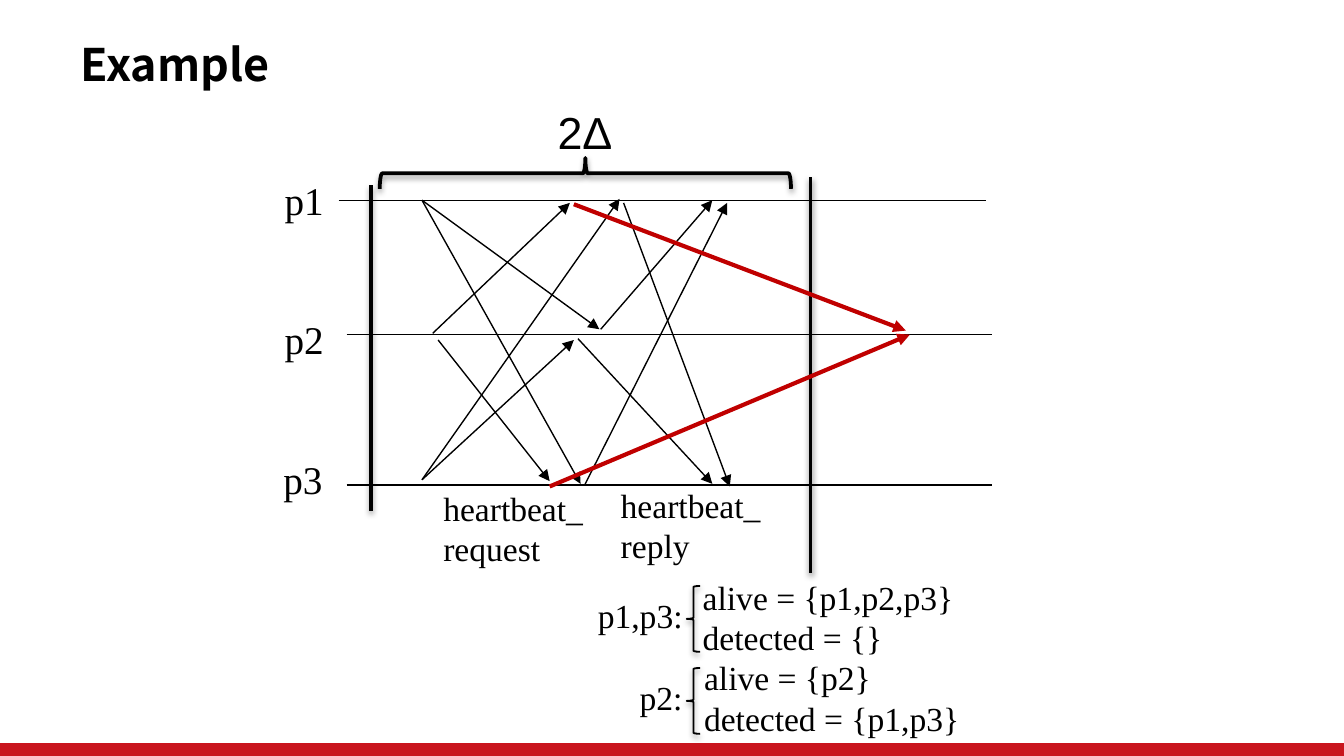
from lxml.etree import SubElement
from pptx import Presentation
from pptx.dml.color import RGBColor
from pptx.enum.shapes import MSO_CONNECTOR as Connector, MSO_SHAPE as Shape
from pptx.enum.text import MSO_ANCHOR as Anchor, MSO_AUTO_SIZE as AutoSize, PP_ALIGN as Align
from pptx.oxml.ns import qn
from pptx.util import Inches, Pt

COLORS = {"ink": "000000", "late": "C00000", "bar": "C9151E"}
TITLE_FONT, LABEL_FONT, DELTA_FONT = "Noto Sans CJK SC", "Times New Roman", "Arial"


class SlideBuilder:
    """Holds the style and the current slide."""

    def __init__(self, slide):
        self.slide = slide

    def color(self, name):
        return RGBColor.from_string(COLORS[name])

    def style_font(self, paragraph, size, name, bold=False):
        font = paragraph.font
        font.size, font.name, font.bold = Pt(size), name, bold
        font.color.rgb = self.color("ink")

    def effects(self, shape, shadow):
        properties = shape._element.spPr
        effect_list = SubElement(properties, qn("a:effectLst"))
        if shadow:
            outer = SubElement(effect_list, qn("a:outerShdw"), blurRad=str(Pt(3.1)),
                               dist=str(Pt(1.6)), dir="5400000", rotWithShape="0")
            black = SubElement(outer, qn("a:srgbClr"), val=COLORS["ink"])
            SubElement(black, qn("a:alpha"), val="38000")

    def title(self, text, left, top, width, height):
        title = self.slide.shapes.title
        title.left, title.top = Inches(left), Inches(top)
        title.width, title.height = Inches(width), Inches(height)
        frame = title.text_frame
        frame.text = text
        frame.word_wrap = False
        frame.auto_size = AutoSize.NONE
        frame.vertical_anchor = Anchor.MIDDLE
        frame.paragraphs[0].alignment = Align.LEFT
        self.style_font(frame.paragraphs[0], 24, TITLE_FONT, bold=True)

    def bar(self, left, top, width, height):
        bar = self.slide.shapes.add_shape(
            Shape.RECTANGLE, Inches(left), Inches(top), Inches(width), Inches(height))
        bar.shadow.inherit = False
        bar.fill.solid()
        bar.fill.fore_color.rgb = self.color("bar")
        bar.line.fill.background()

    def label(self, text, left, top, width, height, size=18, font=LABEL_FONT):
        box = self.slide.shapes.add_textbox(
            Inches(left), Inches(top), Inches(width), Inches(height))
        frame = box.text_frame
        frame.text = text
        frame.word_wrap = False
        frame.auto_size = AutoSize.SHAPE_TO_FIT_TEXT
        for paragraph in frame.paragraphs:
            self.style_font(paragraph, size, font)

    def line(self, start, end, color="ink", width=0.75, arrow=False, shadow=False):
        line = self.slide.shapes.add_connector(
            Connector.STRAIGHT, *(Inches(value) for value in (*start, *end)))
        line.line.color.rgb = self.color(color)
        line.line.width = Pt(width)
        if arrow:
            SubElement(line.line._get_or_add_ln(), qn("a:tailEnd"), type="triangle")
        self.effects(line, shadow)

    def brace(self, left, top, width, height, line_width, rotation=0):
        brace = self.slide.shapes.add_shape(
            Shape.LEFT_BRACE, Inches(left), Inches(top), Inches(width), Inches(height))
        brace.rotation = rotation
        brace.fill.background()
        brace.line.color.rgb = self.color("ink")
        brace.line.width = Pt(line_width)
        self.effects(brace, shadow=True)


def main():
    prs = Presentation()
    prs.slide_width = Inches(10)
    prs.slide_height = prs.slide_width * 9 // 16
    builder = SlideBuilder(prs.slides.add_slide(prs.slide_layouts[5]))

    # Frame of the slide
    builder.bar(0, 5.53, 10, 0.1)
    builder.title("Example", 0.5, 0.23, 6.96, 0.49)

    # Process timelines
    timelines = [("p1", 2.02, 1.26, 2.52, 7.34, 1.49),
                 ("p2", 2.02, 2.3, 2.58, 7.38, 2.49),
                 ("p3", 2.01, 3.34, 2.58, 7.38, 3.61)]
    for process, left, top, start, end, y in timelines:
        builder.line((start, y), (end, y))
        builder.label(process, left, top, 0.5, 0.45, size=21)

    # Heartbeat requests, then replies
    requests = [((3.14, 1.49), (4.46, 2.45)), ((3.14, 1.49), (4.32, 3.6)),
                ((3.22, 2.48), (4.24, 1.51)), ((3.26, 2.53), (4.09, 3.58)),
                ((3.14, 3.57), (4.27, 2.53)), ((3.14, 3.57), (4.61, 1.48))]
    replies = [((4.64, 1.51), (5.43, 3.62)), ((4.47, 2.45), (5.3, 1.49)),
               ((4.3, 2.52), (5.3, 3.6)), ((4.35, 3.61), (5.41, 1.51))]
    for start, end in requests + replies:
        builder.line(start, end, arrow=True)

    # Timeout window
    builder.label("2Δ", 4.05, 0.73, 0.61, 0.5, size=24, font=DELTA_FONT)
    builder.brace(4.24, -0.24, 0.23, 3.06, 2, rotation=90)
    for x, top, bottom in [(2.76, 1.38, 3.8), (6.03, 1.32, 4.26)]:
        builder.line((x, top), (x, bottom), width=2, shadow=True)

    # Replies that arrive too late
    for start, end in [((4.27, 1.52), (6.74, 2.46)), ((4.09, 3.62), (6.77, 2.49))]:
        builder.line(start, end, color="late", width=2.25, arrow=True)

    # Message names
    builder.label("heartbeat_\nrequest", 3.2, 3.58, 1.25, 0.71)
    builder.label("heartbeat_\nreply", 4.52, 3.56, 1.25, 0.71)

    # Resulting sets for each process
    results = [("p1,p3:", 4.35, 4.38, 0.84, "alive = {p1,p2,p3}\ndetected = {}", 5.13, 4.24, 2.15),
               ("p2:", 4.66, 4.99, 0.52, "alive = {p2}\ndetected = {p1,p3}", 5.14, 4.84, 2.12)]
    for owner, owner_left, owner_top, owner_width, sets, left, top, width in results:
        builder.label(owner, owner_left, owner_top, owner_width, 0.4)
        builder.label(sets, left, top, width, 0.71)
        builder.brace(5.11, owner_top - 0.02, 0.1, 0.49, 1)

    prs.save("out.pptx")


if __name__ == "__main__":
    main()
